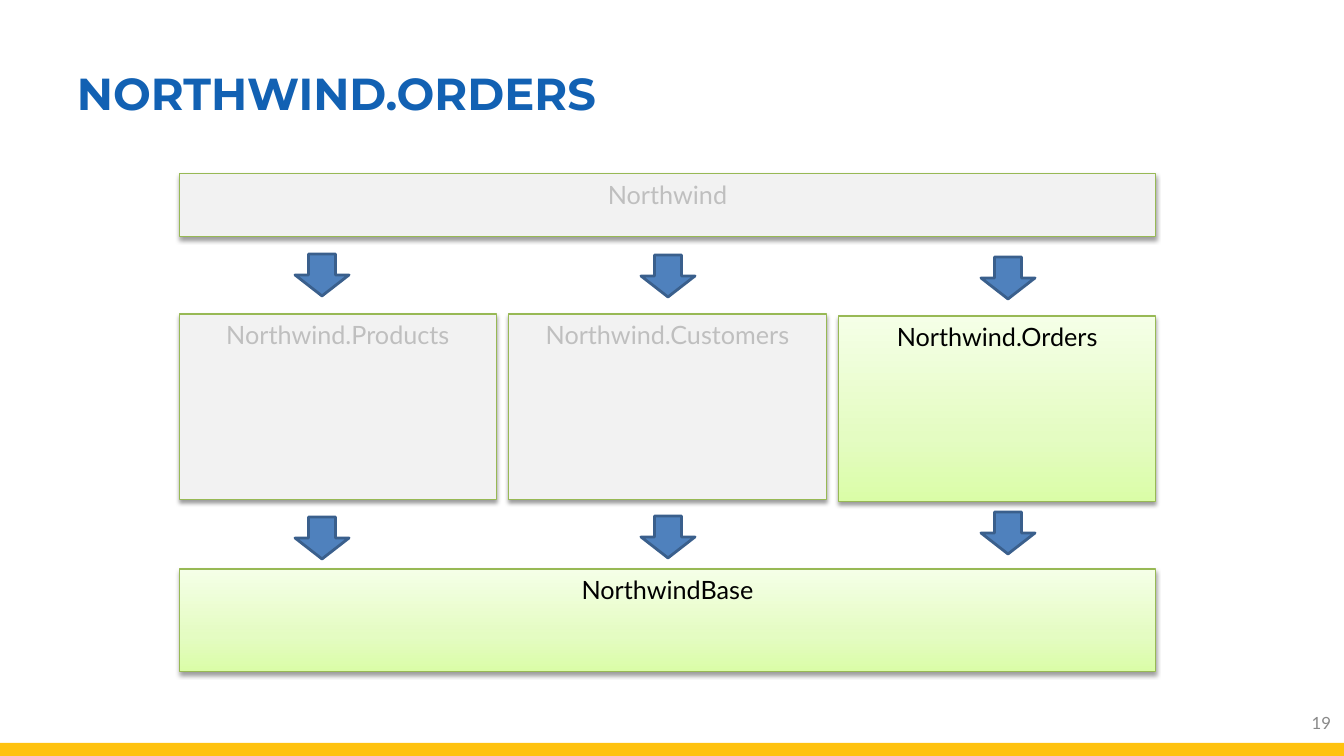
"""Build the NORTHWIND.ORDERS layer diagram slide."""
from copy import deepcopy

from lxml import etree
from pptx import Presentation
from pptx.dml.color import RGBColor
from pptx.enum.shapes import MSO_SHAPE
from pptx.enum.text import MSO_ANCHOR, PP_ALIGN
from pptx.oxml.ns import qn
from pptx.util import Emu, Pt

RECTANGLE, DOWN_ARROW = MSO_SHAPE.RECTANGLE, MSO_SHAPE.DOWN_ARROW
LEFT, CENTER, RIGHT = PP_ALIGN.LEFT, PP_ALIGN.CENTER, PP_ALIGN.RIGHT
TOP, MIDDLE = MSO_ANCHOR.TOP, MSO_ANCHOR.MIDDLE

EMU_PER_PIXEL = 12192000 / 1344
SLIDE_SIZE = (1344, 756)

THEME = {
    "title": {"name": "Montserrat", "size": 32, "color": "1261B3", "bold": True},
    "number": {"name": "Lato", "size": 12, "color": "898989", "bold": False},
    "active": {"name": "Lato", "size": 18, "color": "000000", "bold": False},
    "muted": {"name": "Lato", "size": 18, "color": "BFBFBF", "bold": False},
    "muted_fill": "F2F2F2",
    "active_gradient": [(0, "DAFDA7"), (0.35, "E4FCC2"), (1, "F5FFE7")],
    "box_line": ("98B955", 0.75),
    "arrow_fill": "4F81BD",
    "arrow_line": ("3A5F8C", 2),
    "footer_fill": "FFC20F",
    "shadow": {"blurRad": "40000", "dist": "20000", "dir": "5400000", "rotWithShape": "0"},
    "shadow_alpha": "38000",
}

TITLE = ("NORTHWIND.ORDERS", (67, 30, 1071, 126))
PAGE_NUMBER = ("19", (1283, 703, 58, 40))
FOOTER_BAR = (0, 743, 1344, 13)

DIAGRAM_LEFT, DIAGRAM_WIDTH, MODULE_GAP = 179, 977, 12
MODULE_HEIGHT = 186
LAYERS = [("NorthwindBase", 569, 103, "active"), ("Northwind", 174, 63, "muted")]
MODULES = [
    ("Northwind.Products", 314, "muted"),
    ("Northwind.Customers", 314, "muted"),
    ("Northwind.Orders", 316, "active"),
]
ARROW_SIZE = (54, 42)
ARROW_COLUMNS = [(295, (254, 517)), (641, (255, 516)), (981, (257, 512))]


def to_emu(box):
    """Convert pixel lengths to EMU."""
    return [Emu(round(length * EMU_PER_PIXEL)) for length in box]


def write_text(shape, text, style, alignment, anchor):
    """Put one styled paragraph in a shape."""
    frame = shape.text_frame
    frame.word_wrap = True
    frame.vertical_anchor = anchor
    paragraph = frame.paragraphs[0]
    paragraph.alignment = alignment
    run = paragraph.add_run()
    run.text = text
    values = dict(THEME[style])
    run.font.color.rgb = RGBColor.from_string(values.pop("color"))
    values["size"] = Pt(values["size"])
    for name, value in values.items():
        setattr(run.font, name, value)


def add_label(slide, label, style, alignment):
    """Add a text box centred vertically."""
    text, box = label
    write_text(slide.shapes.add_textbox(*to_emu(box)), text, style, alignment, MIDDLE)


def add_filled(slide, kind, box, fill, line=None):
    """Add a preset shape with a solid fill."""
    shape = slide.shapes.add_shape(kind, *to_emu(box))
    shape.shadow.inherit = False
    shape.fill.solid()
    shape.fill.fore_color.rgb = RGBColor.from_string(fill)
    if line:
        color, width = line
        shape.line.color.rgb = RGBColor.from_string(color)
        shape.line.width = Pt(width)
    else:
        shape.line.fill.background()
    return shape


def apply_gradient(shape, stops):
    """Fill a shape with an upward gradient."""
    shape.fill.gradient()
    shape.fill.gradient_angle = 90
    stop_list = shape.element.spPr.find(".//" + qn("a:gsLst"))
    while len(stop_list) < len(stops):
        stop_list.append(deepcopy(stop_list[0]))
    for stop, (position, color) in zip(shape.fill.gradient_stops, stops):
        stop.position = position
        stop.color.rgb = RGBColor.from_string(color)


def apply_shadow(shape):
    """Add a soft shadow below a shape."""
    effects = shape.element.spPr.find(qn("a:effectLst"))
    shadow = etree.SubElement(effects, qn("a:outerShdw"), THEME["shadow"])
    color = etree.SubElement(shadow, qn("a:srgbClr"), val="000000")
    etree.SubElement(color, qn("a:alpha"), val=THEME["shadow_alpha"])


def add_box(slide, text, box, style):
    """Add a diagram box, active or muted."""
    shape = add_filled(slide, RECTANGLE, box, THEME["muted_fill"], THEME["box_line"])
    if style == "active":
        apply_gradient(shape, THEME["active_gradient"])
    apply_shadow(shape)
    write_text(shape, text, style, CENTER, TOP)


def main():
    """Create the slide and save it."""
    presentation = Presentation()
    presentation.slide_width, presentation.slide_height = to_emu(SLIDE_SIZE)
    slide = presentation.slides.add_slide(presentation.slide_layouts[6])

    add_filled(slide, RECTANGLE, FOOTER_BAR, THEME["footer_fill"])
    add_label(slide, TITLE, "title", LEFT)
    add_label(slide, PAGE_NUMBER, "number", RIGHT)

    for text, top, height, style in LAYERS:
        add_box(slide, text, (DIAGRAM_LEFT, top, DIAGRAM_WIDTH, height), style)

    gaps = MODULE_GAP * (len(MODULES) - 1)
    module_width = (DIAGRAM_WIDTH - gaps) / len(MODULES)
    for column, (text, top, style) in enumerate(MODULES):
        left = DIAGRAM_LEFT + column * (module_width + MODULE_GAP)
        add_box(slide, text, (left, top, module_width, MODULE_HEIGHT), style)

    for left, tops in ARROW_COLUMNS:
        for top in tops:
            box = (left, top, *ARROW_SIZE)
            add_filled(slide, DOWN_ARROW, box, THEME["arrow_fill"], THEME["arrow_line"])

    presentation.save("out.pptx")


main()
